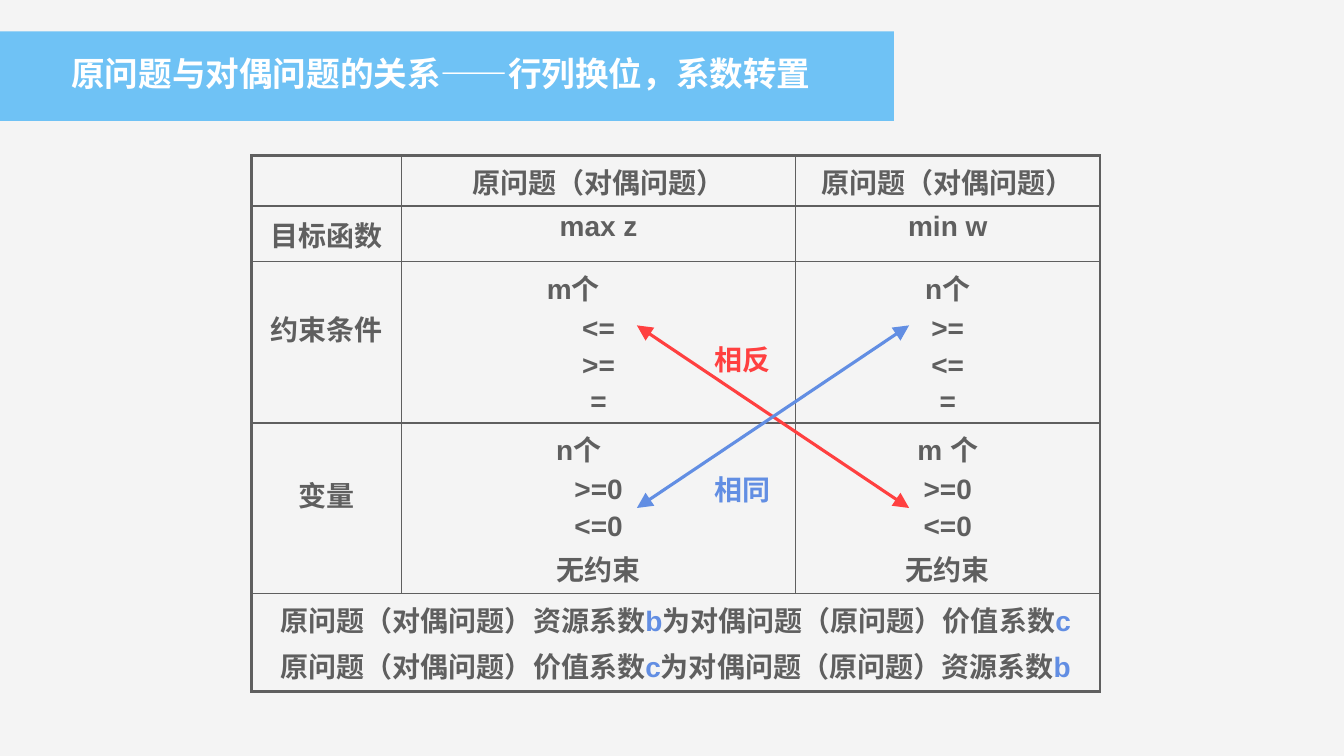
from lxml import etree
from pptx import Presentation
from pptx import util as u
from pptx.dml.color import RGBColor
from pptx.enum import shapes, text
from pptx.oxml.ns import qn

GREY, BLUE, RED, SKY, WHITE, PAPER = "5F5F5F", "628EE3", "FF4040", "6FC2F5", "FFFFFF", "F4F4F4"
COLUMNS = [3.78, 9.93, 7.67]
ROWS = [1.27, 1.4, 4.06, 4.3, 2.46]
HEADING = "原问题（对偶问题）"
CELLS = [
    ["", HEADING, HEADING],
    ["目标函数", "max z", "min w"],
    ["约束条件", "m个\n<=\n>=\n=", "n个\n>=\n<=\n="],
    ["变量", "n个\n>=0\n<=0\n无约束", "m 个\n>=0\n<=0\n无约束"],
]
RIGHT_INDENTS = {(2, 1): 1.27, (3, 1): 1}
SUMMARY = [
    ["原问题（对偶问题）资源系数", "b", "为对偶问题（原问题）价值系数", "c"],
    ["原问题（对偶问题）价值系数", "c", "为对偶问题（原问题）资源系数", "b"],
]


def color(value):
    return RGBColor.from_string(value)


def style(font, size, value, name="Arial"):
    font.size = u.Pt(size)
    font.bold = True
    font.name = name
    font.color.rgb = color(value)


def add_label(slide, left, top, width, height, words, size, value, name="Arial", wrap=True):
    shape = slide.shapes.add_textbox(u.Cm(left), u.Cm(top), u.Cm(width), u.Cm(height))
    shape.text_frame.word_wrap = wrap
    shape.text_frame.text = words
    paragraph = shape.text_frame.paragraphs[0]
    style(paragraph.runs[0].font, size, value, name)
    return paragraph


def add_title(slide, left, top, width, height):
    bar = slide.shapes.add_shape(shapes.MSO_SHAPE.RECTANGLE,
                                 u.Cm(left), u.Cm(top), u.Cm(width), u.Cm(height))
    bar.shadow.inherit = False
    bar.fill.solid()
    bar.fill.fore_color.rgb = color(SKY)
    bar.line.fill.background()
    add_label(slide, left + 1.55, top + 0.41, 19.46, 1.27,
              "原问题与对偶问题的关系——行列换位，系数转置", 24, WHITE, "Noto Sans CJK SC", False)


def set_borders(cell, row, column):
    last_row = row == len(ROWS) - 1
    outer = {"L": column == 0, "R": last_row or column == len(COLUMNS) - 1,
             "T": row == 0, "B": last_row}
    properties = cell._tc.get_or_add_tcPr()
    for index, (side, thick) in enumerate(outer.items()):
        line = etree.Element(qn(f"a:ln{side}"), w=str(u.Pt(2.25 if thick else 1)))
        fill = etree.SubElement(line, qn("a:solidFill"))
        etree.SubElement(fill, qn("a:srgbClr"), val=GREY)
        properties.insert(index, line)


def format_cell(cell, row, column):
    cell.fill.background()
    cell.margin_left = cell.margin_right = u.Cm(0.33)
    cell.margin_top = cell.margin_bottom = u.Cm(0.13)
    if 0 < row < len(CELLS) and column == 0 or (row, column) == (2, 1):
        cell.vertical_anchor = text.MSO_ANCHOR.MIDDLE
    if row in (2, 3) and column == 0:
        cell.margin_bottom = u.Cm(0.85)
    for index, paragraph in enumerate(cell.text_frame.paragraphs):
        paragraph.alignment = text.PP_ALIGN.CENTER
        if index:
            paragraph.space_before = u.Pt(4)
        if (row, column) in RIGHT_INDENTS:
            indent = 0 if index else u.Cm(RIGHT_INDENTS[row, column])
            paragraph._p.get_or_add_pPr().set("marR", str(indent))
        for run in paragraph.runs:
            style(run.font, 20, BLUE if run.text in ("b", "c") else GREY)
    set_borders(cell, row, column)


def add_relations(slide, left, top):
    table = slide.shapes.add_table(len(ROWS), len(COLUMNS), u.Cm(left), u.Cm(top),
                                   u.Cm(sum(COLUMNS)), u.Cm(sum(ROWS))).table
    table.first_row = table.horz_banding = False
    for column, width in zip(table.columns, COLUMNS):
        column.width = u.Cm(width)
    for row, height in zip(table.rows, ROWS):
        row.height = u.Cm(height)
    for row, words in enumerate(CELLS):
        for column, content in enumerate(words):
            table.cell(row, column).text_frame.text = content
    last = len(ROWS) - 1
    table.cell(last, 0).merge(table.cell(last, len(COLUMNS) - 1))
    frame = table.cell(last, 0).text_frame
    for index, parts in enumerate(SUMMARY):
        paragraph = frame.add_paragraph() if index else frame.paragraphs[0]
        for part in parts:
            paragraph.add_run().text = part
    for row in range(len(ROWS)):
        for column in range(len(COLUMNS)):
            format_cell(table.cell(row, column), row, column)


def add_arrow(slide, start, end, value):
    arrow = slide.shapes.add_connector(shapes.MSO_CONNECTOR.STRAIGHT,
                                       *(u.Cm(length) for length in start + end))
    arrow.line.color.rgb = color(value)
    arrow.line.width = u.Pt(2.25)
    line = arrow.line._get_or_add_ln()
    for tip in ("a:headEnd", "a:tailEnd"):
        etree.SubElement(line, qn(tip), type="triangle", w="lg", len="lg")
    etree.SubElement(arrow._element.spPr, qn("a:effectLst"))


def add_crossing(slide, left, top, width, height):
    right, bottom = left + width, top + height
    add_arrow(slide, (left, top), (right, bottom), RED)
    add_arrow(slide, (left, bottom), (right, top), BLUE)
    for words, offset, value in (("相反", 0.05, RED), ("相同", 3.33, BLUE)):
        paragraph = add_label(slide, left + 1.7, top + offset, 2.6, 1.27, words, 20, value)
        paragraph.line_spacing = 1.3


def main():
    presentation = Presentation()
    presentation.slide_width, presentation.slide_height = u.Cm(33.87), u.Cm(19.05)
    slide = presentation.slides.add_slide(presentation.slide_layouts[6])
    slide.background.fill.solid()
    slide.background.fill.fore_color.rgb = color(PAPER)
    add_title(slide, 0, 0.79, 22.53, 2.26)
    add_relations(slide, 6.34, 3.92)
    add_crossing(slide, 16.05, 8.2, 6.86, 4.6)
    presentation.save("out.pptx")


if __name__ == "__main__":
    main()
